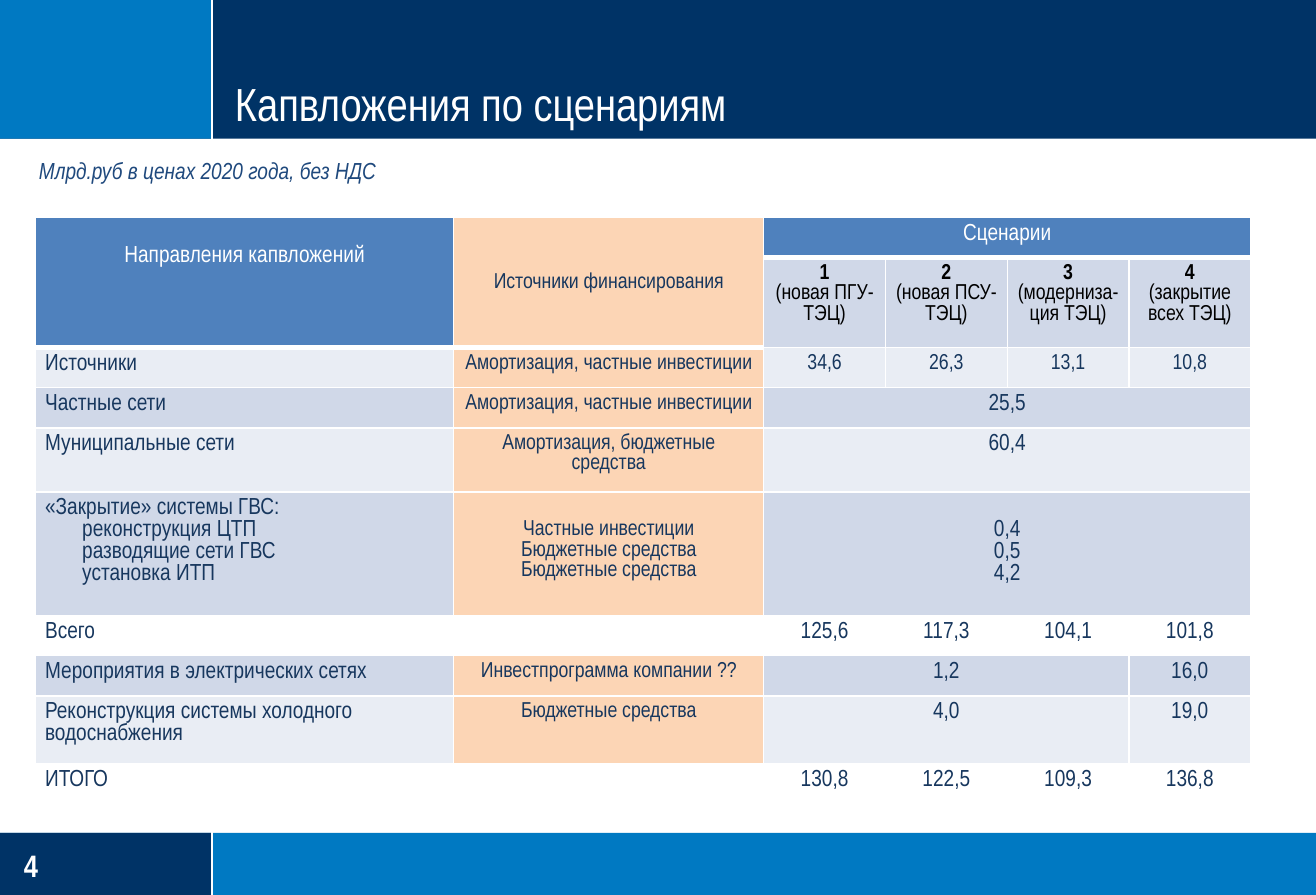
from lxml import etree
from pptx import Presentation
from pptx.dml.color import RGBColor
from pptx.enum.shapes import MSO_CONNECTOR, MSO_SHAPE
from pptx.enum.text import MSO_ANCHOR, MSO_AUTO_SIZE, PP_ALIGN
from pptx.oxml.ns import qn
from pptx.util import Cm, Pt

RECT, LINE = MSO_SHAPE.RECTANGLE, MSO_CONNECTOR.STRAIGHT
LEFT, CENTER = PP_ALIGN.LEFT, PP_ALIGN.CENTER
TOP, MIDDLE, BOTTOM = MSO_ANCHOR.TOP, MSO_ANCHOR.MIDDLE, MSO_ANCHOR.BOTTOM

FONT = "Arial Narrow"
WHITE, BLACK, NAVY, BLUE, INK = "FFFFFF", "000000", "003366", "0079C2", "17375E"
HEAD, PEACH, DARK, LIGHT = "4F81BD", "FCD5B5", "D0D8E8", "E9EDF4"

# Content
TITLE = "Капвложения по сценариям"
NOTE = "Млрд.руб в ценах 2020 года, без НДС"
PAGE = "4"
SCENARIOS = [("1", "(новая ПГУ-ТЭЦ)"), ("2", "(новая ПСУ-ТЭЦ)"),
             ("3", "(модерниза-ция ТЭЦ)"), ("4", "(закрытие всех ТЭЦ)")]
# direction, funding, values as (text, columns spanned), fill, value size
ROWS = [
    ("Источники", "Амортизация, частные инвестиции",
     [("34,6", 1), ("26,3", 1), ("13,1", 1), ("10,8", 1)], LIGHT, 13),
    ("Частные сети", "Амортизация, частные инвестиции", [("25,5", 4)], DARK, 14),
    ("Муниципальные сети", "Амортизация, бюджетные средства", [("60,4", 4)], LIGHT, 14),
    ("«Закрытие» системы ГВС:\nреконструкция ЦТП\nразводящие сети ГВС\nустановка ИТП",
     "Частные инвестиции\nБюджетные средства\nБюджетные средства",
     [("0,4\n0,5\n4,2", 4)], DARK, 14),
    ("Всего", "", [("125,6", 1), ("117,3", 1), ("104,1", 1), ("101,8", 1)], None, 14),
    ("Мероприятия в электрических сетях", "Инвестпрограмма компании ??",
     [("1,2", 3), ("16,0", 1)], DARK, 14),
    ("Реконструкция системы холодного водоснабжения", "Бюджетные средства",
     [("4,0", 3), ("19,0", 1)], LIGHT, 14),
    ("ИТОГО", "", [("130,8", 1), ("122,5", 1), ("109,3", 1), ("136,8", 1)], None, 14),
]
COL_WIDTHS = [8.89, 6.6] + [2.59] * 4
ROW_HEIGHTS = [0.83, 1.9, 0.85, 0.85, 1.35, 2.61, 0.85, 0.85, 1.42, 0.85]

# Page geometry in cm
W, H = 28, 19.05
SIDE_W, TOP_H, FOOT_Y = 4.52, 2.95, 17.73
BANDS = [(0, FOOT_Y, W, H - FOOT_Y, BLUE), (0, 0, W, TOP_H, NAVY),
         (0, 0, SIDE_W, TOP_H, BLUE), (0, FOOT_Y, SIDE_W, H - FOOT_Y, NAVY)]
RULES = [(0, 17.68, W, 17.68), (SIDE_W, 17.68, SIDE_W, H),
         (SIDE_W, 0, SIDE_W, 2.97), (0, 2.97, W, 2.97)]


def rgb(value):
    return RGBColor.from_string(value)


def write(tf, text, size=14, color=INK, bold=False, italic=False, align=LEFT,
          bold_first=False, indent=0):
    """One paragraph per line; lines after the first take the indent."""
    for i, line in enumerate(text.split("\n")):
        p = tf.add_paragraph() if i else tf.paragraphs[0]
        p.alignment = align
        if i and indent:
            p._p.get_or_add_pPr().set("marL", str(Cm(indent)))
        r = p.add_run()
        r.text = line
        r.font.name, r.font.size = FONT, Pt(size)
        r.font.bold = bold or (bold_first and i == 0)
        r.font.italic = italic
        r.font.color.rgb = rgb(color)


def border(cell, bottom=1):
    tcPr = cell._tc.get_or_add_tcPr()
    for i, (side, width) in enumerate([("L", 1), ("R", 1), ("T", 1), ("B", bottom)]):
        ln = etree.Element(qn("a:ln" + side), w=str(Pt(width)))
        fill = etree.SubElement(ln, qn("a:solidFill"))
        etree.SubElement(fill, qn("a:srgbClr"), val=WHITE)
        tcPr.insert(i, ln)


def fill_cell(row, col, text, fill, rows=1, cols=1, anchor=TOP, top=0.13, bottom=1, **fmt):
    cell = table.cell(row, col)
    if rows * cols > 1:
        cell.merge(table.cell(row + rows - 1, col + cols - 1))
    cell.margin_left = cell.margin_right = Cm(0.2)
    cell.margin_top, cell.margin_bottom = Cm(top), Cm(0.13)
    cell.vertical_anchor = anchor
    if fill:
        cell.fill.solid()
        cell.fill.fore_color.rgb = rgb(fill)
    else:
        cell.fill.background()
    border(cell, bottom)
    if text:
        write(cell.text_frame, text, **fmt)
    else:
        etree.SubElement(cell.text_frame.paragraphs[0]._p, qn("a:endParaRPr"), sz="1300")


prs = Presentation()
prs.slide_width, prs.slide_height = Cm(W), Cm(H)
s = prs.slides.add_slide(prs.slide_layouts[5])

# Bands and white rules
for x, y, w, h, color in BANDS:
    sp = s.shapes.add_shape(RECT, Cm(x), Cm(y), Cm(w), Cm(h))
    sp.shadow.inherit = False
    sp.fill.solid()
    sp.fill.fore_color.rgb = rgb(color)
    sp.line.fill.background()
for x1, y1, x2, y2 in RULES:
    ln = s.shapes.add_connector(LINE, Cm(x1), Cm(y1), Cm(x2), Cm(y2))
    ln.line.color.rgb = rgb(WHITE)
    ln.line.width = Pt(1.25)
    etree.SubElement(ln._element.spPr, qn("a:effectLst"))

# Title, brought in front of the bands
title = s.shapes.title
title._element.getparent().append(title._element)
title.left, title.top, title.width, title.height = Cm(4.67), Cm(1.35), Cm(23.11), Cm(1.62)
tf = title.text_frame
tf.margin_left = tf.margin_right = Cm(0.33)
tf.margin_top = tf.margin_bottom = Cm(0.18)
tf.vertical_anchor, tf.auto_size, tf.word_wrap = BOTTOM, MSO_AUTO_SIZE.NONE, True
write(tf, TITLE, size=28, color=WHITE)
tf.paragraphs[0].line_spacing = 0.9

# Page number and units note
tf = s.shapes.add_textbox(Cm(0.51), Cm(18.01), Cm(2.82), Cm(0.79)).text_frame
tf.margin_left = tf.margin_right = tf.margin_top = tf.margin_bottom = 0
tf.vertical_anchor, tf.word_wrap = MIDDLE, True
write(tf, PAGE, size=18.7, color=WHITE, bold=True)
tf = s.shapes.add_textbox(Cm(0.58), Cm(3.2), Cm(17.12), Cm(0.86)).text_frame
tf.word_wrap = True
write(tf, NOTE, color="1F497D", italic=True)

# Table
table = s.shapes.add_table(len(ROW_HEIGHTS), len(COL_WIDTHS), Cm(0.76), Cm(4.63),
                           Cm(sum(COL_WIDTHS)), Cm(sum(ROW_HEIGHTS))).table
table.first_row = table.horz_banding = False
for column, width in zip(table.columns, COL_WIDTHS):
    column.width = Cm(width)
for row, height in zip(table.rows, ROW_HEIGHTS):
    row.height = Cm(height)

# Header rows
fill_cell(0, 0, "Направления капвложений", HEAD, rows=2, top=0.6, bottom=3,
          color=WHITE, align=CENTER)
fill_cell(0, 1, "Источники финансирования", PEACH, rows=2, anchor=MIDDLE, bottom=3,
          size=13, align=CENTER)
fill_cell(0, 2, "Сценарии", HEAD, cols=4, bottom=3, color=WHITE, align=CENTER)
for col, scenario in enumerate(SCENARIOS, 2):
    fill_cell(1, col, "\n".join(scenario), DARK, size=13, color=BLACK,
              align=CENTER, bold_first=True)

# Body rows; multi-line amounts start level with the second line of the direction
for row, (direction, funding, values, fill, size) in enumerate(ROWS, 2):
    top = 0.6 if "\n" in direction else 0.13
    fill_cell(row, 0, direction, fill, indent=0.79)
    fill_cell(row, 1, funding, PEACH if funding else None, top=top, size=13, align=CENTER)
    col = 2
    for value, span in values:
        fill_cell(row, col, value, fill, cols=span, top=top, size=size, align=CENTER)
        col += span

prs.save("out.pptx")
